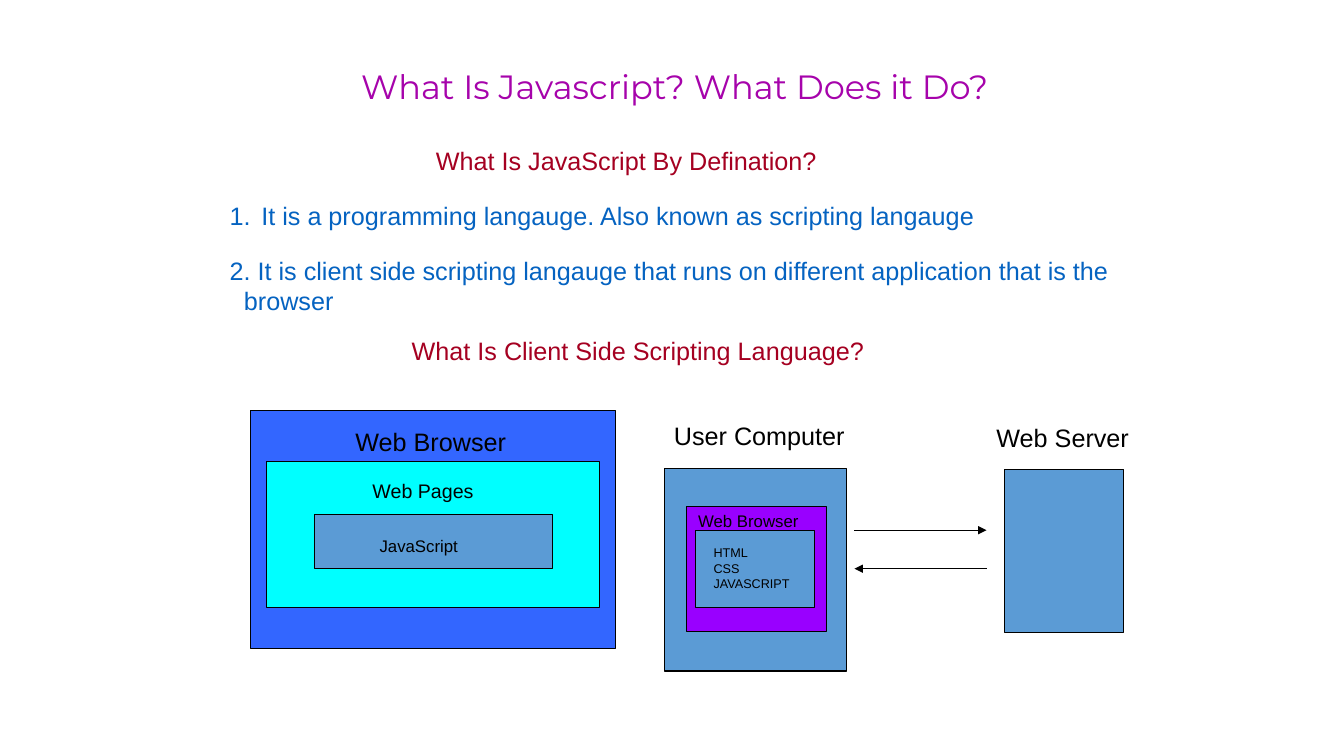
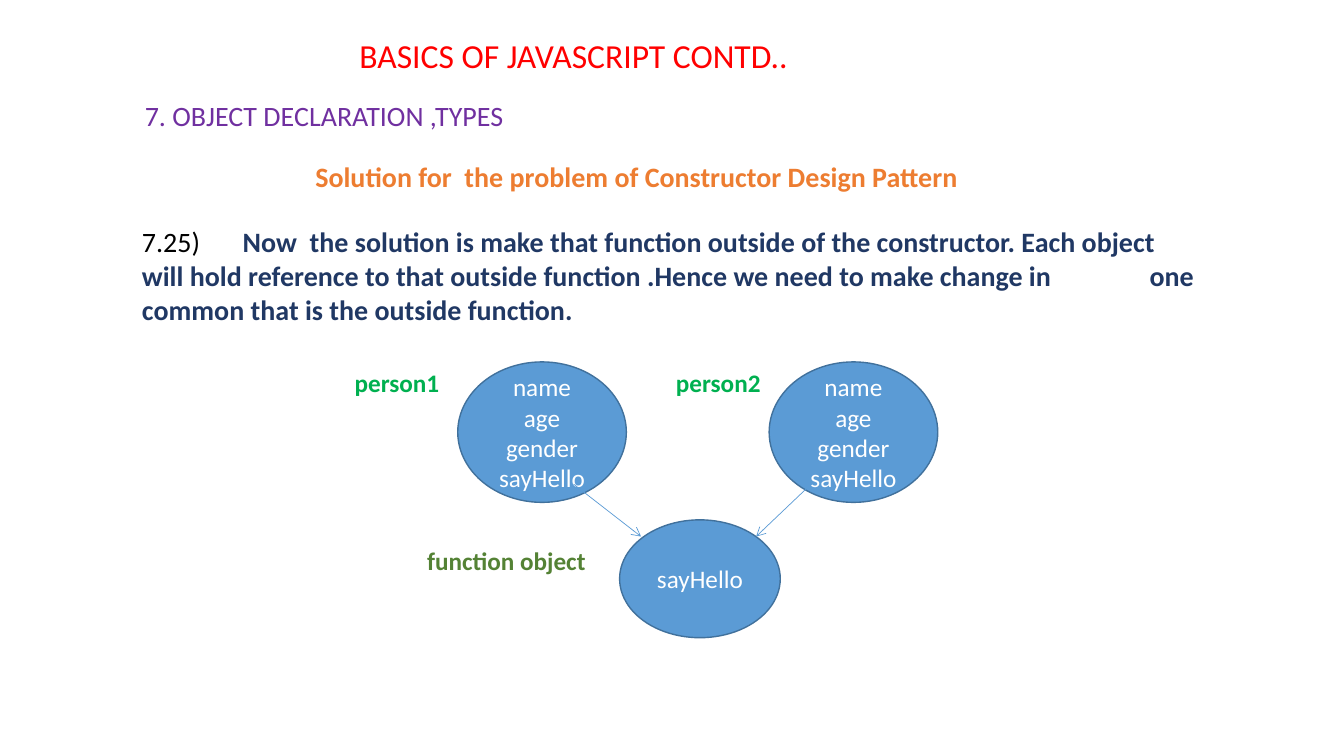
from lxml import etree
from pptx import Presentation
from pptx.dml.color import RGBColor
from pptx.enum import shapes, text
from pptx.oxml import ns
from pptx.util import Cm, Pt

BLACK = RGBColor(0x00, 0x00, 0x00)
WHITE = RGBColor(0xFF, 0xFF, 0xFF)
MAGENTA = RGBColor(0xA6, 0x03, 0xAB)
CRIMSON = RGBColor(0xA5, 0x00, 0x21)
LINK_BLUE = RGBColor(0x05, 0x63, 0xC1)
ROYAL = RGBColor(0x33, 0x66, 0xFF)
CYAN = RGBColor(0x00, 0xFF, 0xFF)
STEEL = RGBColor(0x5B, 0x9B, 0xD5)
STEEL_EDGE = RGBColor(0x41, 0x71, 0x9C)
VIOLET = RGBColor(0x99, 0x00, 0xFF)
RED = RGBColor(0xFF, 0x00, 0x00)
PURPLE = RGBColor(0x70, 0x30, 0xA0)
ORANGE = RGBColor(0xED, 0x7D, 0x31)
NAVY = RGBColor(0x20, 0x38, 0x64)
GREEN = RGBColor(0x00, 0xB0, 0x50)
OLIVE = RGBColor(0x54, 0x82, 0x35)

LEFT, CENTER = text.PP_ALIGN.LEFT, text.PP_ALIGN.CENTER
TOP, MIDDLE = text.MSO_ANCHOR.TOP, text.MSO_ANCHOR.MIDDLE
RECTANGLE, OVAL = shapes.MSO_SHAPE.RECTANGLE, shapes.MSO_SHAPE.OVAL


def sub(parent, tag, **attributes):
    child = etree.SubElement(parent, ns.qn(tag))
    for key, value in attributes.items():
        child.set(key, str(value))
    return child


def write(frame, paragraphs, size=18, color=BLACK, font="Arial", bold=False,
          align=LEFT, anchor=TOP, inset=(0.25, 0.13), wrap=True,
          hanging=0, numbered=False, tabs=()):
    frame.auto_size = text.MSO_AUTO_SIZE.NONE
    frame.word_wrap = wrap
    frame.vertical_anchor = anchor
    frame.margin_left, frame.margin_top = Cm(inset[0]), Cm(inset[1])
    frame.margin_right, frame.margin_bottom = Cm(0.25), Cm(0.13)
    for index, content in enumerate(paragraphs):
        paragraph = frame.paragraphs[0] if index == 0 else frame.add_paragraph()
        paragraph.alignment = align
        properties = paragraph._p.get_or_add_pPr()
        if hanging:
            properties.set("marL", str(Cm(hanging)))
            properties.set("indent", str(-Cm(hanging)))
        if numbered:
            sub(sub(properties, "a:buClr"), "a:srgbClr", val=color)
            sub(properties, "a:buFont", typeface=font)
            sub(properties, "a:buAutoNum", type="arabicPeriod")
        if tabs:
            stops = sub(properties, "a:tabLst")
            for stop in tabs:
                sub(stops, "a:tab", pos=Cm(stop), algn="l")
        runs = [(content, color, bold)] if isinstance(content, str) else content
        for wording, run_color, run_bold in runs:
            run = paragraph.add_run()
            run.text = wording
            run.font.size, run.font.name = Pt(size), font
            run.font.bold, run.font.color.rgb = run_bold, run_color


def add_label(slide, box, *paragraphs, **style):
    label = slide.shapes.add_textbox(*map(Cm, box))
    write(label.text_frame, paragraphs, **style)


def add_panel(slide, kind, box, fill, *paragraphs, edge=BLACK, weight=0.75, **style):
    panel = slide.shapes.add_shape(kind, *map(Cm, box))
    panel.shadow.inherit = False
    panel.fill.solid()
    panel.fill.fore_color.rgb = fill
    panel.line.color.rgb = edge
    panel.line.width = Pt(weight)
    write(panel.text_frame, paragraphs, **style)


def add_arrow(slide, start, end, color, weight, head):
    arrow = slide.shapes.add_connector(
        shapes.MSO_CONNECTOR.STRAIGHT, *map(Cm, (*start, *end)))
    arrow.line.color.rgb = color
    arrow.line.width = Pt(weight)
    sub(arrow.line._get_or_add_ln(), "a:tailEnd", type=head)
    sub(arrow._element.spPr, "a:effectLst")


def add_titled_slide(deck, title, box, **style):
    slide = deck.slides.add_slide(deck.slide_layouts[5])
    heading = slide.shapes.title
    heading.left, heading.top, heading.width, heading.height = map(Cm, box)
    write(heading.text_frame, [title], size=24, **style)
    return slide


def draw_browser_nest(slide, x, y):
    add_panel(slide, RECTANGLE, (x, y, 9.2, 6), ROYAL, "Web Browser",
              inset=(2.64, 0.41))
    add_panel(slide, RECTANGLE, (x + 0.4, y + 1.3, 8.4, 3.68), CYAN, "Web Pages",
              size=14, inset=(2.67, 0.43))
    add_panel(slide, RECTANGLE, (x + 1.6, y + 2.62, 6, 1.37), STEEL, "JavaScript",
              size=12, inset=(1.65, 0.53))


def draw_user_computer(slide, x, y):
    add_label(slide, (x, y, 4.8, 1.02), "User Computer", wrap=False)
    add_panel(slide, RECTANGLE, (x, y + 1.35, 4.6, 5.1), STEEL)
    add_panel(slide, RECTANGLE, (x + 0.56, y + 2.31, 3.53, 3.15), VIOLET,
              "Web Browser", size=12, inset=(0.3, 0.1))
    add_panel(slide, RECTANGLE, (x + 0.79, y + 2.9, 3, 1.96), STEEL,
              "HTML", "CSS", "JAVASCRIPT", size=9, inset=(0.46, 0.38))


def draw_web_server(slide, x, y):
    add_label(slide, (x, y, 3.86, 1.02), "Web Server", wrap=False)
    add_panel(slide, RECTANGLE, (x + 0.46, y + 1.3, 3, 4.11), STEEL)


def draw_exchange(slide, x, y, width, gap):
    add_arrow(slide, (x, y), (x + width, y), BLACK, 0.75, "triangle")
    add_arrow(slide, (x + width, y + gap), (x, y + gap), BLACK, 0.75, "triangle")


def draw_object_graph(slide, x, y):
    oval = dict(edge=STEEL_EDGE, weight=1, font="Calibri", color=WHITE,
                align=CENTER, anchor=MIDDLE)
    caption = dict(font="Calibri", bold=True)
    for person, label_x, oval_x in (("person1", 0, 2.85), ("person2", 8.1, 10.7)):
        add_panel(slide, OVAL, (x + oval_x, y, 4.25, 3.54), STEEL,
                  "name", "age", "gender", "sayHello", **oval)
        add_label(slide, (x + label_x, y, 2.95, 1.02), person, color=GREEN, **caption)
    add_panel(slide, OVAL, (x + 6.93, y + 3.98, 4.05, 2.97), STEEL, "sayHello", **oval)
    add_label(slide, (x + 1.83, y + 4.5, 5.03, 1.02), "function object",
              color=OLIVE, **caption)
    for start, end in (((5.77, 3.08), (7.47, 4.4)), ((11.81, 3.03), (10.37, 4.4))):
        add_arrow(slide, (x + start[0], y + start[1]), (x + end[0], y + end[1]),
                  STEEL, 0.5, "arrow")


def build_definition_slide(deck):
    slide = add_titled_slide(deck, "What Is Javascript? What Does it Do?",
                             (8.33, 1.52, 17.35, 1.2), font="Montserrat",
                             color=MAGENTA, align=CENTER)
    add_label(slide, (10.74, 3.53, 10.11, 1.02), "What Is JavaScript By Defination?",
              color=CRIMSON, wrap=False)
    add_label(slide, (5.54, 4.93, 23.22, 1.02),
              "It is a programming langauge. Also known as scripting langauge",
              color=LINK_BLUE, hanging=0.8, numbered=True)
    add_label(slide, (5.54, 6.3, 23.22, 1.78),
              "2. It is client side scripting langauge that runs on different "
              "application that is the browser", color=LINK_BLUE, hanging=0.36)
    add_label(slide, (10.13, 8.31, 11.91, 1.02),
              "What Is Client Side Scripting Language?", color=CRIMSON, wrap=False)
    draw_browser_nest(slide, 6.32, 10.34)
    draw_user_computer(slide, 16.74, 10.46)
    draw_exchange(slide, 21.54, 13.36, 3.33, 0.97)
    draw_web_server(slide, 24.87, 10.52)


def build_solution_slide(deck):
    slide = add_titled_slide(deck, "BASICS OF JAVASCRIPT CONTD..",
                             (8.81, 0.76, 12.62, 1.27), font="Calibri", color=RED)
    body = dict(size=20, font="Calibri")
    add_label(slide, (3.4, 2.36, 11, 1.12), "7. OBJECT DECLARATION ,TYPES",
              color=PURPLE, **body)
    add_label(slide, (7.7, 3.89, 18, 1.12),
              "Solution for  the problem of Constructor Design Pattern",
              color=ORANGE, bold=True, **body)
    explanation = (
        "Now  the solution is make that function outside of the constructor. "
        "Each object \twill hold reference to that outside function .Hence we need "
        "to make change in \tone common that is the outside function.")
    add_label(slide, (3.33, 5.54, 29.03, 2.79),
              [("7.25) \t", BLACK, False), (explanation, NAVY, True)],
              tabs=(2.54, 25.4, 27.94), **body)
    draw_object_graph(slide, 8.69, 9.12)


def main():
    deck = Presentation()
    deck.slide_width, deck.slide_height = Cm(33.88), Cm(19.05)
    build_definition_slide(deck)
    build_solution_slide(deck)
    deck.save("out.pptx")


if __name__ == "__main__":
    main()
